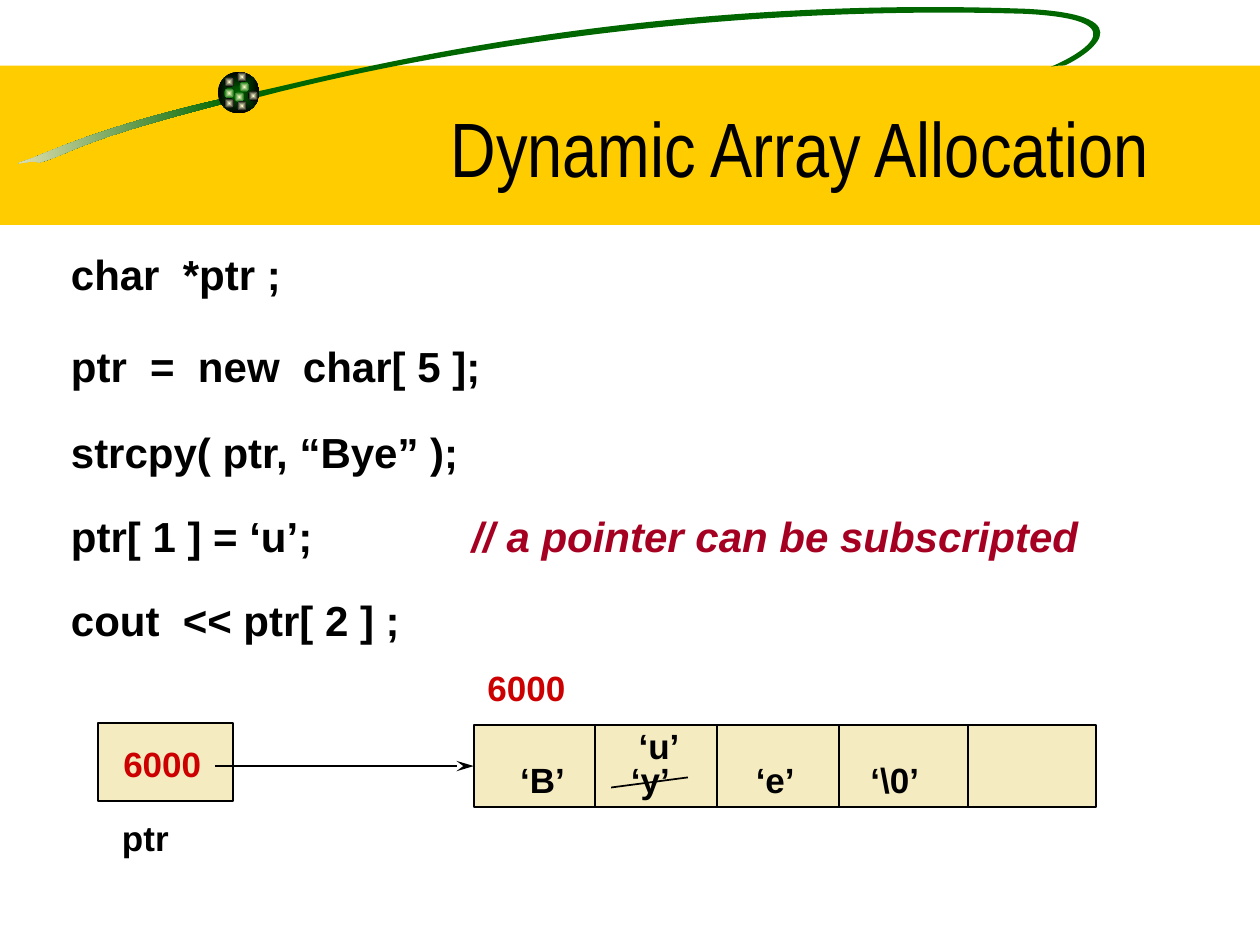
from math import cos, radians, sin

from lxml.etree import SubElement
from pptx import Presentation
from pptx.dml.color import RGBColor
from pptx.enum.shapes import MSO_CONNECTOR as CONN, MSO_SHAPE as SHAPE
from pptx.enum.text import MSO_ANCHOR as ANCHOR, PP_ALIGN as ALIGN
from pptx.oxml.ns import qn
from pptx.util import Inches, Pt

BLACK = RGBColor(0x00, 0x00, 0x00)
GOLD = RGBColor(0xFF, 0xCC, 0x00)
GREEN = RGBColor(0x00, 0x66, 0x00)
CREAM = RGBColor(0xF5, 0xEB, 0xC1)
PALE = RGBColor(0xFF, 0xFF, 0xCC)
RED = RGBColor(0xCC, 0x00, 0x00)
CRIMSON = RGBColor(0xA5, 0x00, 0x21)

WIDTH, HEIGHT = Inches(10), Inches(7.5)
COL, ROW = WIDTH / 100, HEIGHT / 75
TILT = -8.5

TAIL = [(17.8, 7.8), (9.1, 9.8), (4.9, 11.6), (2.5, 12.6),
        (0.1, 13.4), (2.6, 12.6), (3.1, 12.9),
        (5.7, 12.2), (5.7, 11.3), (17.9, 8.2)]
SWOOSH = [(20.2, 7.3), (24.6, 6.5), (48.6, -0.5), (81.4, 0.7),
          (91.7, 1.2), (85.7, 4.7), (84.5, 5.2),
          (84.5, 5.2), (83.8, 5.2), (83.4, 5.3),
          (84.4, 4.9), (91.6, 1.6), (81.3, 1.1),
          (54.8, 0.3), (32, 4.7), (20.6, 7.7)]
SPARKS = [(1.7, 0.8, GREEN), (0.5, 0.4, BLACK), (0.5, 1.3, GREEN),
          (1.3, 1.6, GREEN), (2.4, 1.5, BLACK), (1.5, 2.3, BLACK),
          (0.5, 2.1, BLACK), (1.5, 0, BLACK)]


def place(x, y, w, h):
    return round(x * COL), round(y * ROW), round(w * COL), round(h * ROW)


def add_box(s, kind, box, fill, outlined=False):
    sp = s.shapes.add_shape(kind, *place(*box))
    sp.shadow.inherit = False
    sp.fill.solid()
    sp.fill.fore_color.rgb = fill
    if outlined:
        sp.line.color.rgb, sp.line.width = BLACK, Pt(1)
    else:
        sp.line.fill.background()
    return sp


def add_line(s, x1, y1, x2, y2):
    start, end = place(x1, y1, 0, 0)[:2], place(x2, y2, 0, 0)[:2]
    line = s.shapes.add_connector(CONN.STRAIGHT, *start, *end)
    line.line.color.rgb, line.line.width = BLACK, Pt(1)
    SubElement(line._element.spPr, qn("a:effectLst"))
    return line


def set_tabs(p, stops):
    tabs = SubElement(p._p.get_or_add_pPr(), qn("a:tabLst"))
    for stop in stops:
        SubElement(tabs, qn("a:tab"), pos=str(round(stop * COL)), algn="l")


def style(font, size, color, name="Arial", bold=True):
    font.name, font.size, font.bold = name, Pt(size), bold
    font.color.rgb = color


def add_text(s, box, text, color=BLACK, size=20, tabs=(), wrap=False):
    tf = s.shapes.add_textbox(*place(*box)).text_frame
    tf.word_wrap = wrap
    tf.text = text
    for p in tf.paragraphs:
        if tabs:
            set_tabs(p, tabs)
        for r in p.runs:
            style(r.font, size, color)
    return tf


def shade(sp, first, last, from_center=False):
    sp.fill.gradient()
    for stop, color, position in zip(sp.fill.gradient_stops, (first, last), (0, 1)):
        stop.color.rgb, stop.position = color, position
    sp.fill.gradient_angle = 180
    if from_center:
        grad = sp._element.spPr.find(qn("a:gradFill"))
        grad.remove(grad.find(qn("a:lin")))
        center = SubElement(grad, qn("a:path"), path="rect")
        SubElement(center, qn("a:fillToRect"), l="50000", t="50000", r="50000", b="50000")


def turn(x, y, degrees):
    a = radians(degrees)
    return x * cos(a) - y * sin(a), x * sin(a) + y * cos(a)


def bend(sp):
    corners = list(sp._element.iter(qn("a:lnTo")))
    for first, second, third in zip(corners[::3], corners[1::3], corners[2::3]):
        curve = first.makeelement(qn("a:cubicBezTo"))
        first.addprevious(curve)
        for corner in (first, second, third):
            curve.append(corner[0])
            corner.getparent().remove(corner)


def add_curve(s, x, y, outline):
    points = [place(*turn(x + px, y + py, -TILT), 0, 0)[:2] for px, py in outline]
    builder = s.shapes.build_freeform(*points[0])
    builder.add_line_segments(points[1:], close=True)
    sp = builder.convert_to_shape()
    closing = list(sp._element.iter(qn("a:lnTo")))[len(points) - 1:]
    for corner in closing:
        corner.getparent().remove(corner)
    bend(sp)
    cx, cy = turn(sp.left + sp.width / 2, sp.top + sp.height / 2, TILT)
    sp.left, sp.top = round(cx - sp.width / 2), round(cy - sp.height / 2)
    sp.rotation = TILT
    sp.shadow.inherit = False
    sp.fill.solid()
    sp.fill.fore_color.rgb = GREEN
    sp.line.fill.background()
    return sp


def add_ball(s, x, y, size):
    shade(add_box(s, SHAPE.OVAL, (x, y, size, size), GREEN), GREEN, BLACK, True)
    for dx, dy, edge in SPARKS:
        spark = add_box(s, SHAPE.OVAL, (x + dx, y + dy, 0.8, 0.8), PALE)
        shade(spark, PALE, edge, True)


def add_header(s, x, y, w, h):
    add_box(s, SHAPE.RECTANGLE, (x, y + 5.2, w, h - 5.2), GOLD)
    shade(add_curve(s, x, y, TAIL), GREEN, CREAM)
    add_curve(s, x, y, SWOOSH)
    add_ball(s, x + 17.3, y + 5.7, 3.3)
    tf = add_text(s, (x + 21, y + 3.3, 85, 12.5), "Dynamic Array Allocation", wrap=True)
    tf.vertical_anchor = ANCHOR.BOTTOM
    p = tf.paragraphs[0]
    p.alignment = ALIGN.CENTER
    style(p.runs[0].font, 44, BLACK, "Arial Narrow", False)


def add_code(s, x, y, w, h):
    lines = ["char  *ptr ;", "ptr  =  new  char[ 5 ];", "strcpy( ptr, “Bye” );",
             "ptr[ 1 ] = ‘u’;\t", "cout  << ptr[ 2 ] ;"]
    tf = add_text(s, (x, y, w, h), "\n".join(lines), size=24, tabs=[31.8], wrap=True)
    for p, gap in zip(tf.paragraphs[1:], (23.4, 20.4, 19.3, 19.3)):
        p.space_before = Pt(gap)
    r = tf.paragraphs[3].add_run()
    r.text = "// a pointer can be subscripted"
    style(r.font, 24, CRIMSON)
    r.font.italic = True


def add_memory(s, x, y, w, h):
    array = add_box(s, SHAPE.RECTANGLE, (x + 29.8, y + 5.15, w - 29.8, 6.5), CREAM, True)
    for divider in (39.4, 49.1, 58.8, 69):
        add_line(s, x + divider, y + 5.15, x + divider, y + 11.7)
    add_text(s, (x + 0.9, y + h - 4.3, 5.7, 4.3), "ptr")
    add_text(s, (x + 29.9, y, 8.2, 4.3), "6000", RED)
    add_box(s, SHAPE.RECTANGLE, (x, y + 5, 10.7, 6.2), CREAM, True)
    add_text(s, (x + 1, y + 6.05, 8.2, 4.3), "6000", RED)
    arrow = add_line(s, x + 9.3, y + 8.4, x + 29.8, y + 8.4)
    arrow.end_connect(array, 1)
    SubElement(arrow.line._get_or_add_ln(), qn("a:tailEnd"), type="stealth", w="med", len="lg")
    add_text(s, (x + 32.5, y + 7.3, 38, 4.3), "‘B’\t‘y’\t‘e’\t‘\\0’", tabs=[8.8, 18.7, 27.8])
    add_line(s, x + 40.7, y + 10.1, x + 46.8, y + 9.3)
    add_text(s, (x + 41.9, y + 4.6, 6, 4.3), "‘u’")


def main():
    prs = Presentation()
    prs.slide_width, prs.slide_height = WIDTH, HEIGHT
    s = prs.slides.add_slide(prs.slide_layouts[6])
    add_header(s, 0, 0, 100, 17.85)
    add_code(s, 4.65, 19.25, 84.3, 36.3)
    add_memory(s, 7.8, 52.4, 79.2, 16.2)
    prs.save("out.pptx")


if __name__ == "__main__":
    main()
